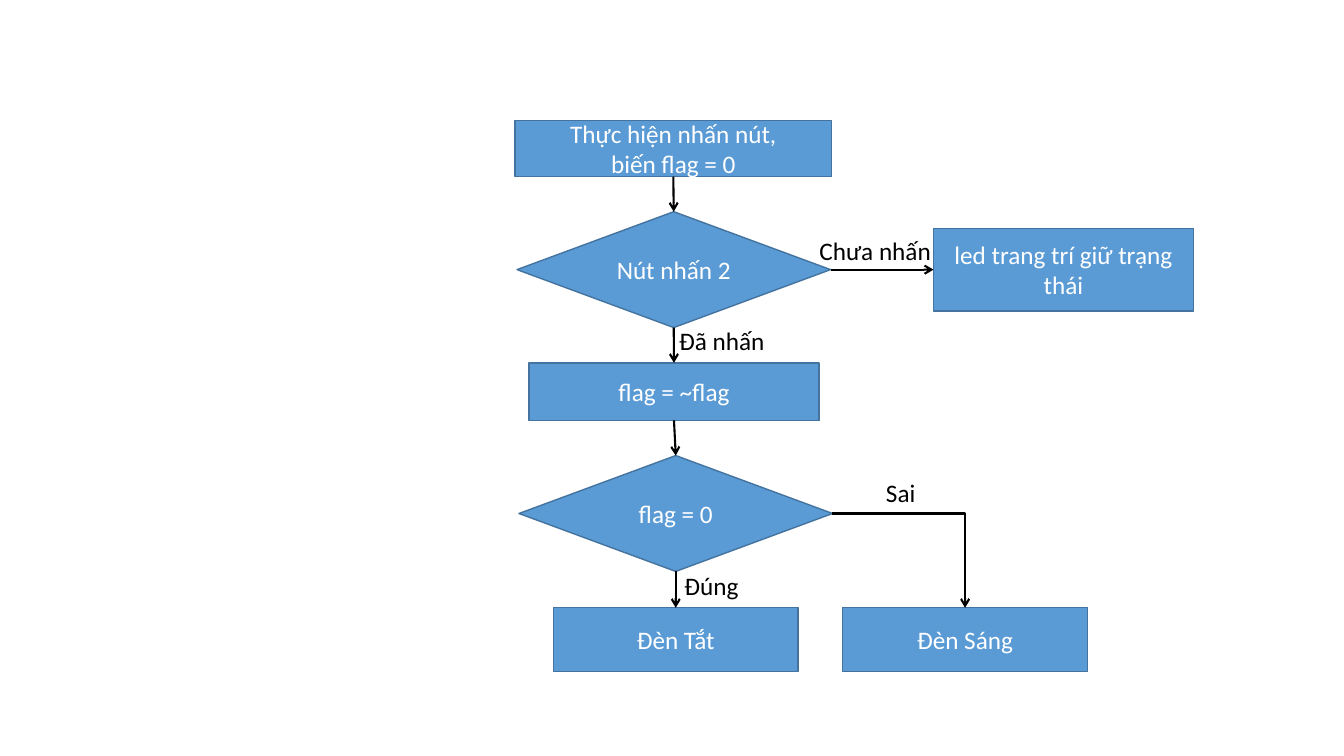
from lxml.etree import SubElement
from pptx import Presentation
from pptx.dml.color import RGBColor
from pptx.enum.shapes import MSO_CONNECTOR as Link, MSO_SHAPE as Shape
from pptx.enum.text import MSO_ANCHOR as Anchor, MSO_AUTO_SIZE as Fit, PP_ALIGN as Align
from pptx.oxml.ns import qn
from pptx.util import Inches, Pt

TOP, LEFT, BOTTOM, RIGHT = range(4)


def color(value):
    return RGBColor.from_string(value)


def style(target, values):
    for name, value in values.items():
        setattr(target, name, value)


class Flowchart:
    FONT = {"name": "Calibri", "size": Pt(18)}
    NODE_FRAME = {"word_wrap": True, "vertical_anchor": Anchor.MIDDLE}
    LABEL_FRAME = {"word_wrap": True, "auto_size": Fit.SHAPE_TO_FIT_TEXT}
    FILL, BORDER, NODE_TEXT, INK = "5B9BD5", "43739E", "FFFFFF", "000000"

    def __init__(self, prs):
        self.width, self.height = prs.slide_width, prs.slide_height
        self.shapes = prs.slides.add_slide(prs.slide_layouts[6]).shapes

    def box(self, left, top, width, height):
        return [round(share * side / 100) for share, side in (
            (left, self.width), (top, self.height),
            (width, self.width), (height, self.height))]

    def put_text(self, s, text, frame, ink, align):
        tf = s.text_frame
        style(tf, frame)
        tf.text = text
        for p in tf.paragraphs:
            p.alignment = align
            for r in p.runs:
                style(r.font, self.FONT)
                r.font.color.rgb = color(ink)

    def paint_line(self, s, ink, width):
        s.line.color.rgb = color(ink)
        s.line.width = Pt(width)

    def node(self, kind, text, cx, cy, width, height):
        s = self.shapes.add_shape(
            kind, *self.box(cx - width / 2, cy - height / 2, width, height))
        s.shadow.inherit = False
        s.fill.solid()
        s.fill.fore_color.rgb = color(self.FILL)
        self.paint_line(s, self.BORDER, 1)
        self.put_text(s, text, self.NODE_FRAME, self.NODE_TEXT, Align.CENTER)
        return s

    def label(self, text, left, top, width):
        s = self.shapes.add_textbox(*self.box(left, top, width, 5.33))
        self.put_text(s, text, self.LABEL_FRAME, self.INK, Align.LEFT)

    def arrow(self, start, end, out=BOTTOM, into=TOP, bent=False):
        s = self.shapes.add_connector(Link.ELBOW if bent else Link.STRAIGHT, 0, 0, 0, 0)
        s.begin_connect(start, out)
        s.end_connect(end, into)
        self.paint_line(s, self.INK, 1.5)
        props = s._element.spPr
        if bent:
            props.find(qn("a:prstGeom")).set("prst", "bentConnector2")
        SubElement(props.find(qn("a:ln")), qn("a:tailEnd"), type="arrow")
        SubElement(props, qn("a:effectLst"))


def main():
    prs = Presentation()
    prs.slide_width, prs.slide_height = Inches(13.33), Inches(7.5)
    chart = Flowchart(prs)

    press = chart.node(Shape.FLOWCHART_PROCESS, "Thực hiện nhấn nút,\nbiến flag = 0",
                       50.1, 19.67, 23.55, 7.4)
    button = chart.node(Shape.DIAMOND, "Nút nhấn 2", 50.13, 35.67, 23.33, 15.33)
    toggle = chart.node(Shape.RECTANGLE, "flag = ~flag", 50.15, 51.8, 21.6, 7.6)
    check = chart.node(Shape.DIAMOND, "flag = 0", 50.28, 67.93, 23.33, 15.33)
    keep = chart.node(Shape.RECTANGLE, "led trang trí giữ trạng thái",
                      79.13, 35.67, 19.35, 10.93)
    off, on = [chart.node(Shape.RECTANGLE, text, cx, 84.6, 18.23, 8.4)
               for text, cx in (("Đèn Tắt", 50.28), ("Đèn Sáng", 71.81))]

    for start, end in ((press, button), (button, toggle), (toggle, check), (check, off)):
        chart.arrow(start, end)
    chart.arrow(button, keep, RIGHT, LEFT)
    chart.arrow(check, on, RIGHT, TOP, bent=True)

    for text, left, top, width in (
            ("Chưa nhấn", 60.23, 30.53, 10.5), ("Đã nhấn", 49.8, 42.4, 10.5),
            ("Đúng", 50.18, 74.8, 9.3), ("Sai", 65.18, 62.53, 9.3)):
        chart.label(text, left, top, width)

    prs.save("out.pptx")


if __name__ == "__main__":
    main()
